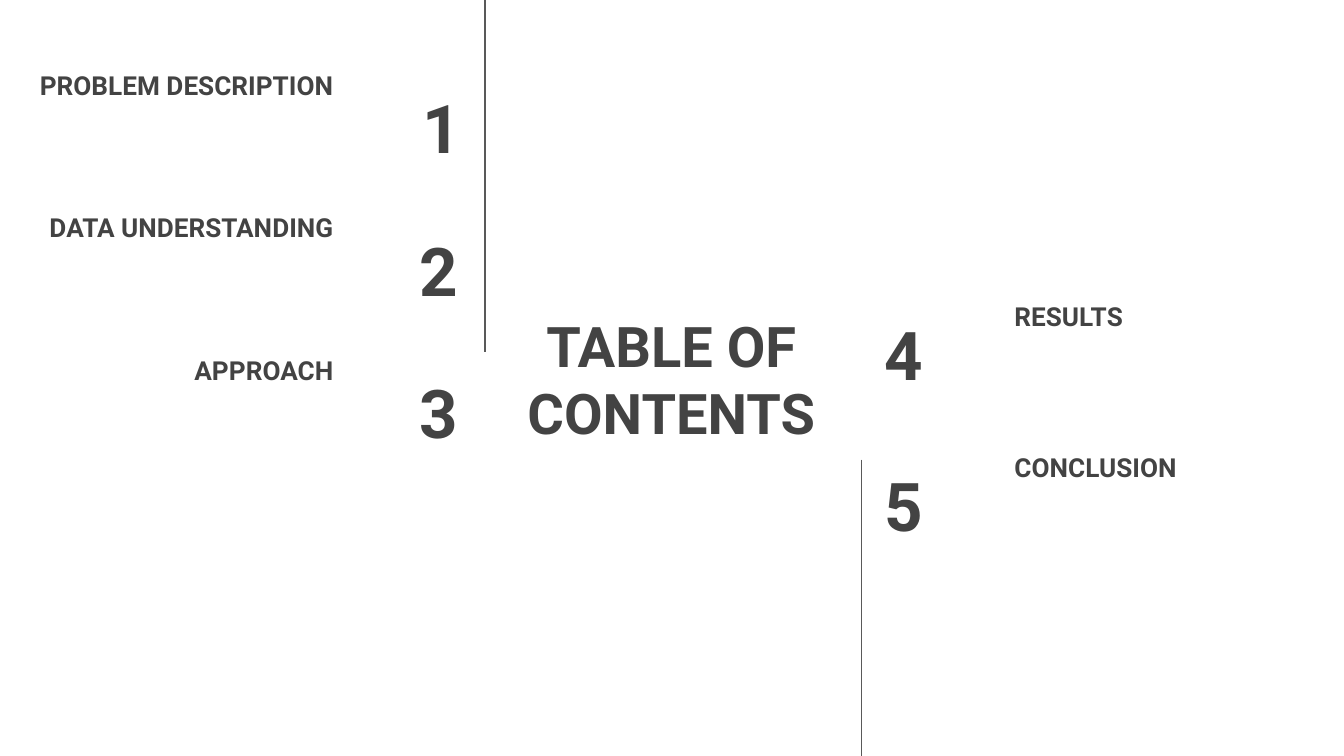
from lxml.etree import SubElement
from pptx import Presentation
from pptx.dml.color import RGBColor
from pptx.enum.shapes import MSO_CONNECTOR
from pptx.enum.text import MSO_ANCHOR, MSO_AUTO_SIZE, PP_ALIGN
from pptx.oxml.ns import qn
from pptx.util import Inches, Pt

INK = RGBColor(0x43, 0x43, 0x43)
RULE = RGBColor(0x59, 0x59, 0x59)
FONT = "Roboto"
WIDE = 10
HIGH = WIDE * 9 / 16
ROW = 0.63  # height of a topic or number box

# Each column: topics with the left of their numbers, first number,
# first top, row step, number drop, topic left and width, number width,
# alignment
COLS = [
    ([("PROBLEM DESCRIPTION", 2.32), ("DATA UNDERSTANDING", 2.3),
      ("APPROACH", 2.3)],
     1, 0.22, 1.06, 0.41, (0.1, 2.48), 1.21, PP_ALIGN.RIGHT),
    ([("RESULTS", 6.48), ("CONCLUSION", 6.48)],
     4, 1.94, 1.12, 0.38, (7.45, 2.16), 1.17, PP_ALIGN.LEFT),
]


def style(box, text, size, align, anchor):
    frame = box.text_frame
    frame.text = text
    frame.word_wrap = True
    frame.auto_size = MSO_AUTO_SIZE.NONE
    frame.vertical_anchor = anchor
    frame.margin_left = frame.margin_right = Inches(0.1)
    frame.margin_top = frame.margin_bottom = Inches(0.1)
    para = frame.paragraphs[0]
    para.alignment = align
    font = para.runs[0].font
    font.name, font.size, font.bold = FONT, Pt(size), True
    font.color.rgb = INK


def add_title(slide, text):
    box = slide.shapes.title
    box.left, box.top = Inches(3.7), Inches(2.3)
    box.width, box.height = Inches(2.59), Inches(1.03)
    style(box, text, 30, PP_ALIGN.CENTER, MSO_ANCHOR.MIDDLE)


def add_label(slide, text, span, top, size, align, anchor):
    left, width = span
    box = slide.shapes.add_textbox(
        Inches(left), Inches(top), Inches(width), Inches(ROW))
    style(box, text, size, align, anchor)


def add_column(slide, topics, first, top, step, drop, span, slim, align):
    for row, (topic, left) in enumerate(topics):
        y = top + row * step
        add_label(slide, topic, span, y, 14, align, MSO_ANCHOR.BOTTOM)
        add_label(slide, str(first + row), (left, slim), y + drop, 36,
                  align, MSO_ANCHOR.MIDDLE)


def add_rule(slide, x, top, end):
    line = slide.shapes.add_connector(
        MSO_CONNECTOR.STRAIGHT,
        Inches(x), Inches(top), Inches(x), Inches(end))
    line.line.color.rgb = RULE
    line.line.width = Pt(0.75)
    SubElement(line._element.spPr, qn("a:effectLst"))


def main():
    deck = Presentation()
    deck.slide_width, deck.slide_height = Inches(WIDE), Inches(HIGH)
    slide = deck.slides.add_slide(deck.slide_layouts[5])

    # Heading in the middle
    add_title(slide, "TABLE OF CONTENTS")

    # Numbered topics on both sides
    for col in COLS:
        add_column(slide, *col)

    # Rules from the top and bottom edges
    add_rule(slide, 3.61, 0, 2.62)
    add_rule(slide, 6.41, 3.42, HIGH)

    deck.save("out.pptx")


if __name__ == "__main__":
    main()
